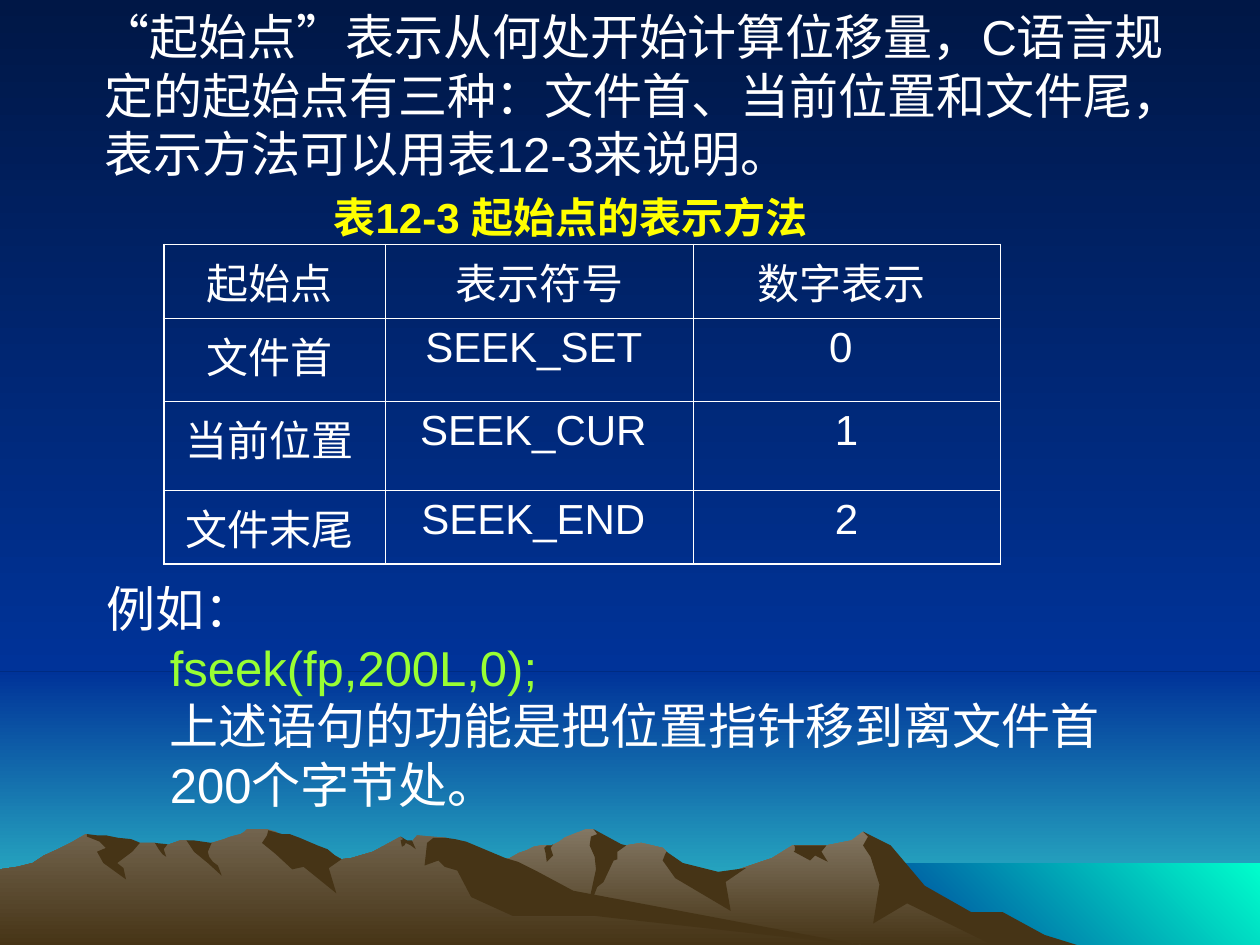
import pptx
import pptx.dml.color
import pptx.enum.shapes
import pptx.enum.text
import pptx.oxml
import pptx.oxml.ns
import pptx.util
from dataclasses import dataclass

Inches = pptx.util.Inches
ALIGN = pptx.enum.text.PP_ALIGN


@dataclass(frozen=True)
class Theme:
    font: str = "Arial"
    body_size: int = 28
    table_size: int = 24
    text: str = "FFFFFF"
    caption: str = "FFFF00"
    code: str = "99FF33"
    sky: tuple = ("001746", "003399")
    horizon: tuple = ("003399", "33CCCC")
    sea: tuple = ("00FFCC", "003399")
    far_ridge: tuple = ("837763", "463416")
    near_ridge: tuple = ("72644E", "463416")
    shade: str = "463416"
    outer_border: float = 1.08
    inner_border: float = 0.45


THEME = Theme()

FAR_RIDGE = [
    (8.02, 7.4), (7.78, 7.27), (7.64, 7.23), (7.23, 6.98), (7.02, 6.71), (6.85, 6.6),
    (6.76, 6.67), (6.56, 6.71), (6.29, 6.71), (6.13, 6.81), (5.66, 6.97), (5.36, 6.9),
    (5.29, 6.76), (5.26, 6.73), (5.09, 6.69), (4.97, 6.71), (4.86, 6.73), (4.74, 6.61),
    (4.71, 6.58), (4.65, 6.58), (4.5, 6.64), (4.48, 6.65), (4.44, 6.68), (4.38, 6.71),
    (4.3, 6.71), (4.24, 6.72), (4.18, 6.75), (4.12, 6.77), (4.05, 6.81), (3.99, 6.83),
    (3.94, 6.85), (3.55, 6.98), (3.27, 7.09), (2.77, 7.39), (2.58, 7.51), (8.21, 7.51)]
FAR_SHADES = [
    [(7.96, 7.24), (7.71, 7.24), (7.34, 7.03), (7.07, 6.71), (6.85, 6.6), (6.89, 6.64),
     (6.85, 6.71), (6.91, 6.8), (6.98, 7.02), (6.93, 7.33), (7.2, 7.17), (7.92, 7.52),
     (8.58, 7.51), (8.29, 7.42)],
    [(4.71, 6.58), (4.74, 6.62), (4.69, 6.64), (4.68, 6.71), (4.72, 6.8), (4.73, 6.9),
     (4.65, 7.27), (4.74, 7.04), (4.79, 7), (4.87, 6.83), (4.9, 6.82), (4.9, 6.76),
     (4.97, 6.71), (4.93, 6.7)],
    [(5.29, 6.76), (5.28, 6.78), (5.26, 6.83), (5.36, 6.97), (5.8, 7.23), (5.76, 7),
     (5.92, 6.89), (5.7, 6.92), (5.42, 6.85)],
    [(6.5, 6.71), (6.3, 6.71), (6.31, 6.72), (6.31, 6.75), (6.3, 6.76), (6.43, 6.83),
     (6.47, 6.79), (6.57, 6.84), (6.52, 6.76), (6.56, 6.71)],
    [(4.33, 6.77), (4.32, 6.73), (4.34, 6.71), (4.38, 6.71), (4.39, 6.7), (4.37, 6.73),
     (4.39, 6.79), (4.34, 6.84)]]
NEAR_RIDGE = [
    (6.9, 7.51), (6.67, 7.48), (4.32, 7.12), (3.54, 6.65), (3.31, 6.63), (3.27, 6.68),
    (3.23, 6.68), (3.18, 6.64), (2.96, 6.76), (2.79, 6.81), (2.71, 6.82), (2.6, 6.76),
    (2.36, 6.81), (2.23, 6.63), (2.19, 6.6), (2.12, 6.58), (1.96, 6.58), (1.94, 6.6),
    (1.91, 6.62), (1.83, 6.64), (1.78, 6.66), (1.68, 6.69), (1.6, 6.71), (1.48, 6.67),
    (1.43, 6.67), (1.32, 6.71), (1.28, 6.71), (1.23, 6.69), (1.11, 6.69), (0.94, 6.71),
    (0.68, 6.62), (0.56, 6.69), (0.46, 6.74), (0.35, 6.79), (0.26, 6.85), (0.14, 6.88),
    (0, 6.9), (0, 7.51)]
NEAR_SHADES = [
    [(2.12, 6.63), (2.08, 6.69), (2.19, 6.78), (2.32, 6.9), (2.41, 6.88), (2.67, 7.09),
     (2.61, 6.89), (2.71, 6.82), (2.66, 6.79), (2.6, 6.74), (2.52, 6.71), (2.38, 6.65),
     (2.3, 6.62), (2.24, 6.62), (2.13, 6.59)],
    [(3.7, 6.68), (3.61, 6.66), (3.54, 6.65), (3.44, 6.65), (3.39, 6.69), (3.37, 6.87),
     (3.48, 6.83), (3.53, 6.88), (3.63, 6.91), (3.74, 7.12), (4.07, 7.27), (4.72, 7.27),
     (6.9, 7.51), (6.83, 7.5), (4.55, 7.07), (4.27, 6.92), (4.11, 6.84), (4.01, 6.81)],
    [(3.18, 6.67), (3.2, 6.66), (3.18, 6.64), (3.23, 6.67), (3.27, 6.67), (3.3, 6.74),
     (3.26, 6.71), (3.22, 6.69), (3.21, 6.71), (3.19, 6.72)],
    [(1.54, 6.67), (1.61, 6.68), (1.68, 6.69), (1.65, 6.76), (1.66, 6.8), (1.69, 6.84),
     (1.73, 6.87), (1.76, 6.95), (1.65, 6.85), (1.54, 6.76), (1.48, 6.67)],
    [(1.33, 6.7), (1.3, 6.74), (1.32, 6.8), (1.29, 6.78), (1.26, 6.74), (1.23, 6.69)],
    [(1.09, 6.68), (1.11, 6.69), (1.05, 6.76), (0.93, 6.85), (0.98, 6.89), (1, 6.98),
     (0.82, 6.85), (0.77, 6.76), (0.84, 6.73), (0.79, 6.68), (0.69, 6.64), (0.69, 6.62),
     (0.77, 6.63), (0.84, 6.63), (0.94, 6.65), (1.04, 6.66)]]

SEEK_ORIGINS = [
    ["起始点 ", "表示符号", "数字表示 "],
    ["文件首 ", "SEEK_SET ", "0 "],
    ["当前位置 ", "SEEK_CUR ", "1"],
    ["文件末尾 ", "SEEK_END ", "2"]]
COLUMN_WIDTHS = [1.76, 2.44, 2.44]
ROW_HEIGHTS = [0.55, 0.66, 0.71, 0.58]


def rgb(color):
    return pptx.dml.color.RGBColor.from_string(color)


def paint(fill, color, angle=90):
    """Fill with one colour, or with a pair as a gradient at a clockwise angle."""
    if isinstance(color, str):
        fill.solid()
        fill.fore_color.rgb = rgb(color)
        return
    fill.gradient()
    fill.gradient_angle = 360 - angle
    for stop, stop_color in zip(fill.gradient_stops, color):
        stop.color.rgb = rgb(stop_color)


def finish(shape, color, angle=90):
    paint(shape.fill, color, angle)
    shape.line.fill.background()
    shape.shadow.inherit = False


def add_band(slide, left, top, width, height, color, angle=90):
    band = slide.shapes.add_shape(pptx.enum.shapes.MSO_SHAPE.RECTANGLE, Inches(left),
                                  Inches(top), Inches(width), Inches(height))
    finish(band, color, angle)


def add_outline(slide, points, color):
    """Draw a closed outline; the builder needs whole units, so points become EMU."""
    start, *corners = [(Inches(x), Inches(y)) for x, y in points]
    builder = slide.shapes.build_freeform(*start)
    builder.add_line_segments(corners, close=True)
    finish(builder.convert_to_shape(), color)


def add_scenery(slide):
    paint(slide.background.fill, THEME.sky)
    add_band(slide, 0, 5.33, 10, 2.17, THEME.horizon)
    add_band(slide, 0, 0, 10, 5.33, THEME.sky)
    add_band(slide, 6.83, 6.85, 3.17, 0.67, THEME.sea, angle=135)
    for ridge, ridge_color, shades in ((FAR_RIDGE, THEME.far_ridge, FAR_SHADES),
                                       (NEAR_RIDGE, THEME.near_ridge, NEAR_SHADES)):
        add_outline(slide, ridge, ridge_color)
        for shade in shades:
            add_outline(slide, shade, THEME.shade)


def write(paragraph, text, *, size=THEME.body_size, color=THEME.text, bold=False,
          align=ALIGN.LEFT, before=0, margin=0, indent=0):
    paragraph.alignment = align
    paragraph.space_before = pptx.util.Pt(before)
    properties = paragraph._p.get_or_add_pPr()
    properties.set("marL", str(Inches(margin)))
    properties.set("indent", str(Inches(indent)))
    properties.append(properties.makeelement(pptx.oxml.ns.qn("a:buNone"), {}))
    run = paragraph.add_run()
    run.text = text
    run.font.name = THEME.font
    run.font.size = pptx.util.Pt(size)
    run.font.bold = bold
    run.font.color.rgb = rgb(color)


def add_text_box(slide, left, top, width, height):
    frame = slide.shapes.add_textbox(Inches(left), Inches(top), Inches(width),
                                     Inches(height)).text_frame
    frame.word_wrap = True
    return frame


def add_introduction(slide):
    introduction = slide.placeholders[1]
    introduction.left, introduction.top = Inches(0.35), Inches(0)
    introduction.width, introduction.height = Inches(9), Inches(1.65)
    introduction.text_frame.auto_size = pptx.enum.text.MSO_AUTO_SIZE.NONE
    write(introduction.text_frame.paragraphs[0],
          "“起始点”表示从何处开始计算位移量，C语言规定的起始点有三种：文件首、"
          "当前位置和文件尾，表示方法可以用表12-3来说明。",
          before=7, margin=0.38, indent=-0.03)
    slide.shapes._spTree.append(introduction._element)  # in front of the scenery


def add_borders(cell, outer_sides):
    properties = cell._tc.get_or_add_tcPr()
    for side in "LRTB":
        points = THEME.outer_border if side in outer_sides else THEME.inner_border
        properties.append(pptx.oxml.parse_xml(
            f'<a:ln{side} {pptx.oxml.ns.nsdecls("a")} w="{pptx.util.Pt(points)}">'
            f'<a:solidFill><a:srgbClr val="{THEME.text}"/></a:solidFill></a:ln{side}>'))


def add_origin_table(slide):
    last_row, last_column = len(ROW_HEIGHTS) - 1, len(COLUMN_WIDTHS) - 1
    table = slide.shapes.add_table(
        len(ROW_HEIGHTS), len(COLUMN_WIDTHS), Inches(1.3), Inches(1.94),
        Inches(sum(COLUMN_WIDTHS)), Inches(sum(ROW_HEIGHTS))).table
    table.first_row = table.horz_banding = False
    for column, width in zip(table.columns, COLUMN_WIDTHS):
        column.width = Inches(width)
    for r, (row, height) in enumerate(zip(table.rows, ROW_HEIGHTS)):
        row.height = Inches(height)
        for c, cell in enumerate(row.cells):
            edges = {"L": c == 0, "R": c == last_column, "T": r == 0, "B": r == last_row}
            add_borders(cell, [side for side, is_outer in edges.items() if is_outer])
            cell.fill.background()
            write(cell.text_frame.paragraphs[0], SEEK_ORIGINS[r][c],
                  size=THEME.table_size, align=ALIGN.CENTER, before=6)


def add_example(slide):
    example = add_text_box(slide, 0.75, 4.54, 8.51, 1.97)
    write(example.paragraphs[0], "例如：")
    write(example.add_paragraph(), "fseek(fp,200L,0);", color=THEME.code, margin=0.5)
    write(example.add_paragraph(), "上述语句的功能是把位置指针移到离文件首200个字节处。",
          margin=0.5)


def main():
    deck = pptx.Presentation()
    deck.slide_width, deck.slide_height = Inches(10), Inches(7.5)
    slide = deck.slides.add_slide(deck.slide_layouts[1])
    empty_title = slide.shapes.title._element
    empty_title.getparent().remove(empty_title)

    add_scenery(slide)
    add_introduction(slide)
    add_origin_table(slide)
    caption = add_text_box(slide, 2.48, 1.47, 4.33, 0.5)
    write(caption.paragraphs[0], "表12-3 起始点的表示方法", size=THEME.table_size,
          color=THEME.caption, bold=True, before=15, margin=0.07)
    add_example(slide)
    deck.save("out.pptx")


if __name__ == "__main__":
    main()
